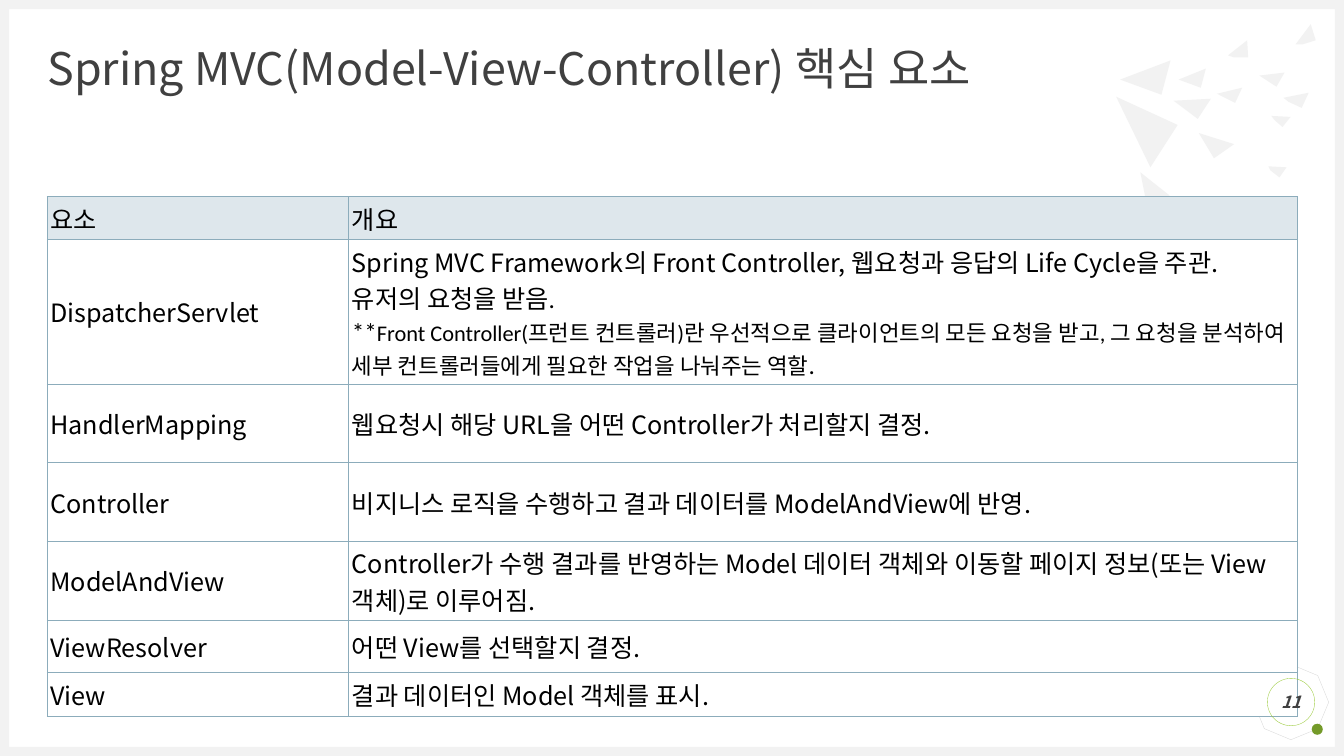
"""Build the slide on the core elements of Spring MVC."""
from dataclasses import dataclass
from typing import Optional

from lxml.etree import SubElement
from pptx import Presentation
from pptx.dml.color import RGBColor
from pptx.enum.shapes import MSO_SHAPE
from pptx.enum.text import MSO_ANCHOR, PP_ALIGN
from pptx.oxml.ns import qn
from pptx.util import Pt

PX = 9144


@dataclass(frozen=True)
class Theme:
    frame: str = "F2F2F2"
    title: str = "404040"
    body: str = "000000"
    header: str = "DEE7EC"
    cell: str = "FFFFFF"
    border: str = "8CACBB"
    octagon: str = "D9D9D9"
    ring: str = "9ACB39"
    dot: str = "749A29"
    sans: str = "Noto Sans CJK KR"
    latin: str = "Calibri"
    title_size: int = 32
    body_size: int = 18
    note_size: int = 16
    page_size: int = 12
    hairline: float = 0.25
    border_width: float = 0.75


THEME = Theme()


@dataclass(frozen=True)
class Span:
    text: str
    font: str = THEME.sans
    size: int = THEME.body_size
    color: str = THEME.body
    strong: bool = False


@dataclass(frozen=True)
class Figure:
    kind: MSO_SHAPE
    left: int
    top: int
    width: int
    height: int
    fill: Optional[str] = None
    line: Optional[str] = None
    rotation: float = 0


@dataclass(frozen=True)
class Element:
    height: int
    name: Span
    summary: list[list[Span]]


FRAME_BARS = [
    Figure(MSO_SHAPE.RECTANGLE, left, top, width, height, THEME.frame)
    for left, top, width, height in [
        (0, 741, 1333, 9), (0, 0, 1333, 9), (0, 0, 9, 750), (1324, 0, 9, 750)]
]
BADGE_DECOR = [
    Figure(MSO_SHAPE.OCTAGON, 1246, 662, 69, 69, line=THEME.octagon, rotation=22.7),
    Figure(MSO_SHAPE.OVAL, 1301, 718, 11, 11, THEME.dot),
]
PAGE_RING = Figure(MSO_SHAPE.OVAL, 1257, 673, 47, 47, line=THEME.ring)

SHARDS = [
    [(1161, 60), (1152, 94), (1111, 79)],
    [(1201, 98), (1188, 118), (1164, 100)],
    [(1196, 68), (1191, 87), (1169, 79)],
    [(1232, 87), (1225, 102), (1207, 93)],
    [(1237, 40), (1238, 57), (1224, 57), (1218, 55)],
    [(1280, 116), (1272, 126), (1264, 119), (1261, 115)],
    [(1300, 24), (1305, 40), (1292, 44), (1285, 44)],
    [(1274, 72), (1266, 86), (1249, 75)],
    [(1298, 92), (1291, 107), (1278, 101), (1273, 97)],
    [(1168, 124), (1141, 166), (1107, 96)],
    [(1224, 143), (1204, 157), (1189, 132)],
    [(1276, 166), (1269, 176), (1260, 169), (1258, 165)],
    [(1160, 194), (1137, 201), (1131, 171)],
]

ELEMENTS = [
    Element(43, Span("요소", THEME.latin), [[Span("개요")]]),
    Element(78, Span("DispatcherServlet"), [
        [Span("Spring MVC Framework의 Front Controller, 웹요청과 응답의 Life Cycle을 주관.")],
        [Span("유저의 요청을 받음.", THEME.latin)],
        [Span("**", THEME.latin),
         Span("Front Controller(프런트 컨트롤러)란 우선적으로 클라이언트의 모든 요청을 받고, "
              "그 요청을 분석하여 세부 컨트롤러들에게 필요한 작업을 나눠주는 역할",
              THEME.latin, THEME.note_size),
         Span(".", THEME.latin)],
    ]),
    Element(78, Span("HandlerMapping"),
            [[Span("웹요청시 해당 URL을 어떤 Controller가 처리할지 결정.")]]),
    Element(78, Span("Controller"),
            [[Span("비지니스 로직을 수행하고 결과 데이터를 ModelAndView에 반영.")]]),
    Element(78, Span("ModelAndView"),
            [[Span("Controller가 수행 결과를 반영하는 Model 데이터 객체와 이동할 페이지 정보"
                   "(또는 View객체)로 이루어짐.")]]),
    Element(52, Span("ViewResolver"), [[Span("어떤 View를 선택할지 결정.")]]),
    Element(43, Span("View"), [[Span("결과 데이터인 Model 객체를 표시.")]]),
]
COLUMN_WIDTHS = (299, 941)


def write(frame, paragraphs: list[list[Span]]) -> None:
    """Fill a text frame with paragraphs, run by run."""
    for index, spans in enumerate(paragraphs):
        paragraph = frame.add_paragraph() if index else frame.paragraphs[0]
        for span in spans:
            run = paragraph.add_run()
            run.text = span.text
            run.font.name = span.font
            run.font.size = Pt(span.size)
            run.font.color.rgb = RGBColor.from_string(span.color)
            if span.strong:
                run.font.bold = run.font.italic = True
            SubElement(run._r.get_or_add_rPr(), qn("a:ea"), typeface=THEME.sans)


def set_margins(holder, px: int) -> None:
    """Give a cell or text frame the same margin on all sides."""
    holder.margin_left = holder.margin_right = px * PX
    holder.margin_top = holder.margin_bottom = px * PX


def paint(shape, fill: Optional[str], line: Optional[str]) -> None:
    """Apply fill and hairline, leaving out whichever is absent."""
    shape.shadow.inherit = False
    if fill:
        shape.fill.solid()
        shape.fill.fore_color.rgb = RGBColor.from_string(fill)
    else:
        shape.fill.background()
    if line:
        shape.line.color.rgb = RGBColor.from_string(line)
        shape.line.width = Pt(THEME.hairline)
    else:
        shape.line.fill.background()


def draw_figure(slide, figure: Figure):
    """Draw one preset shape."""
    shape = slide.shapes.add_shape(
        figure.kind, figure.left * PX, figure.top * PX,
        figure.width * PX, figure.height * PX)
    shape.rotation = figure.rotation
    paint(shape, figure.fill, figure.line)
    return shape


def draw_shard(slide, points: list[tuple[int, int]]) -> None:
    """Draw one grey splinter of the corner ornament."""
    builder = slide.shapes.build_freeform(*points[0], scale=PX)
    builder.add_line_segments(points[1:], close=True)
    paint(builder.convert_to_shape(), THEME.frame, None)


def style_cell(cell, fill: str) -> None:
    """Set margins, borders and fill of a table cell."""
    set_margins(cell, 3)
    cell.vertical_anchor = MSO_ANCHOR.MIDDLE
    properties = cell._tc.get_or_add_tcPr()
    for side in ("a:lnL", "a:lnR", "a:lnT", "a:lnB"):
        border = SubElement(properties, qn(side), w=str(Pt(THEME.border_width)))
        solid = SubElement(border, qn("a:solidFill"))
        SubElement(solid, qn("a:srgbClr"), val=THEME.border)
    cell.fill.solid()
    cell.fill.fore_color.rgb = RGBColor.from_string(fill)


def draw_elements(slide) -> None:
    """Draw the table of MVC elements."""
    height = sum(element.height for element in ELEMENTS)
    table = slide.shapes.add_table(
        len(ELEMENTS), len(COLUMN_WIDTHS), 47 * PX, 195 * PX,
        sum(COLUMN_WIDTHS) * PX, height * PX).table
    table.horz_banding = False
    for column, width in zip(table.columns, COLUMN_WIDTHS):
        column.width = width * PX
    for index, (row, element) in enumerate(zip(table.rows, ELEMENTS)):
        row.height = element.height * PX
        for cell, text in zip(row.cells, ([[element.name]], element.summary)):
            style_cell(cell, THEME.cell if index else THEME.header)
            write(cell.text_frame, text)


def draw_title(slide) -> None:
    """Write the slide title."""
    frame = slide.shapes.add_textbox(47 * PX, 47 * PX, 1240 * PX, 47 * PX).text_frame
    frame.word_wrap = True
    frame.vertical_anchor = MSO_ANCHOR.MIDDLE
    set_margins(frame, 0)
    write(frame, [[Span("Spring MVC(Model-View-Controller) 핵심 요소",
                        size=THEME.title_size, color=THEME.title)]])
    frame.paragraphs[0].line_spacing = 0.9


def draw_page_number(slide) -> None:
    """Draw the ringed page number."""
    frame = draw_figure(slide, PAGE_RING).text_frame
    frame.vertical_anchor = MSO_ANCHOR.MIDDLE
    set_margins(frame, 0)
    write(frame, [[Span("11", size=THEME.page_size, color=THEME.title, strong=True)]])
    frame.paragraphs[0].alignment = PP_ALIGN.CENTER


def main() -> None:
    """Assemble and save the slide."""
    deck = Presentation()
    deck.slide_width, deck.slide_height = 1333 * PX, 750 * PX
    slide = deck.slides.add_slide(deck.slide_layouts[6])
    for figure in BADGE_DECOR + FRAME_BARS:
        draw_figure(slide, figure)
    for points in SHARDS:
        draw_shard(slide, points)
    draw_elements(slide)
    draw_title(slide)
    draw_page_number(slide)
    deck.save("out.pptx")


if __name__ == "__main__":
    main()
